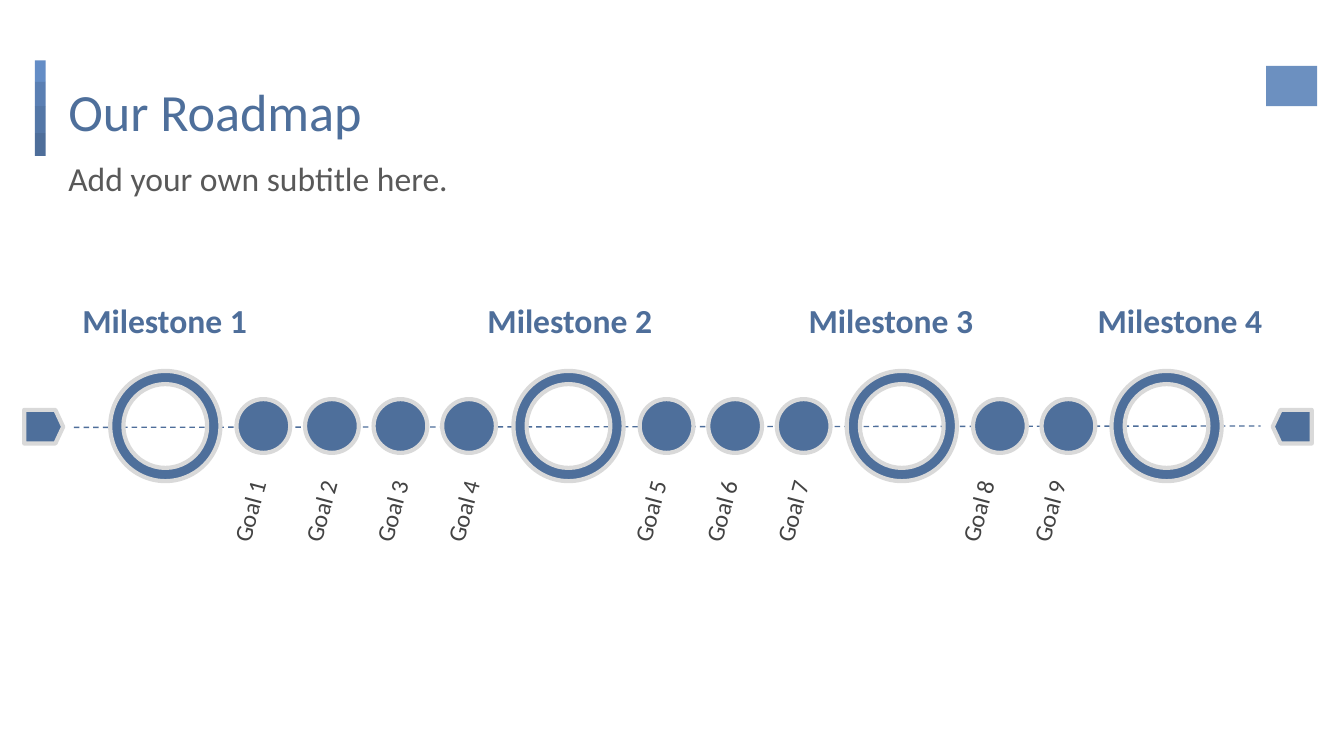
from dataclasses import dataclass

from lxml import etree
from pptx import Presentation
from pptx.dml.color import RGBColor
from pptx.enum.dml import MSO_LINE
from pptx.enum.shapes import MSO_CONNECTOR, MSO_SHAPE
from pptx.enum.text import MSO_ANCHOR, PP_ALIGN
from pptx.oxml.ns import qn
from pptx.util import Inches, Pt

RECTANGLE = MSO_SHAPE.RECTANGLE
OVAL = MSO_SHAPE.OVAL
DONUT = MSO_SHAPE.DONUT
TAG = MSO_SHAPE.FLOWCHART_OFFPAGE_CONNECTOR
STRAIGHT = MSO_CONNECTOR.STRAIGHT
DASH = MSO_LINE.DASH
TOP = MSO_ANCHOR.TOP
LEFT, CENTER = PP_ALIGN.LEFT, PP_ALIGN.CENTER

FONT = "Calibri"
BLUE, HEADING_BLUE = "4E6F9B", "4E6E9A"
OUTLINE, SUBTITLE_GRAY, LABEL_GRAY = "D9D9D9", "595959", "434343"

SLIDE_WIDTH = Inches(10)
SLIDE_HEIGHT = SLIDE_WIDTH * 9 // 16
AXIS_Y = 3.17
RING_SIZE, DOT_SIZE = 0.82, 0.4
DOT_OFFSET, DOT_PITCH = 0.94, 0.51
LABEL_PITCH = 0.53


@dataclass
class Milestone:
    name: str
    ring_left: float
    name_left: float
    name_width: float
    goal_count: int
    first_label_left: float = 0


@dataclass
class BarSegment:
    top: float
    height: float
    color: str


@dataclass
class EndTag:
    left: float
    rotation: int


MILESTONES = [
    Milestone("Milestone 1", 0.82, 0.4, 1.65, 4, 1.46),
    Milestone("Milestone 2", 3.82, 3.37, 1.74, 3, 4.44),
    Milestone("Milestone 3", 6.3, 5.76, 1.74, 2, 6.88),
    Milestone("Milestone 4", 8.27, 7.91, 1.74, 0),
]
BAR_SEGMENTS = [
    BarSegment(0.45, 0.16, "648DC6"),
    BarSegment(0.61, 0.18, "5A7FB3"),
    BarSegment(0.79, 0.2, "5477A7"),
    BarSegment(0.99, 0.17, "4E6E9A"),
]
END_TAGS = [EndTag(0.2, 270), EndTag(9.49, 90)]


def rgb(color: str) -> RGBColor:
    return RGBColor.from_string(color)


def add_shape(slide, kind, left: float, top: float, width: float, height: float,
              fill: str, outline: str = ""):
    shape = slide.shapes.add_shape(
        kind, Inches(left), Inches(top), Inches(width), Inches(height))
    shape.shadow.inherit = False
    shape.fill.solid()
    shape.fill.fore_color.rgb = rgb(fill)
    if outline:
        shape.line.color.rgb = rgb(outline)
        shape.line.width = Pt(2.25)
    else:
        shape.line.fill.background()
    return shape


def add_text(slide, text: str, left: float, top: float, width: float, height: float,
             size: int, color: str, alignment=CENTER, bold: bool = False):
    box = slide.shapes.add_textbox(
        Inches(left), Inches(top), Inches(width), Inches(height))
    frame = box.text_frame
    frame.word_wrap = True
    frame.vertical_anchor = TOP
    frame.margin_left = frame.margin_right = Inches(0.1)
    frame.margin_top = frame.margin_bottom = Inches(0.1)
    paragraph = frame.paragraphs[0]
    paragraph.text = text
    paragraph.alignment = alignment
    paragraph.font.name = FONT
    paragraph.font.size = Pt(size)
    paragraph.font.bold = bold
    paragraph.font.color.rgb = rgb(color)
    return box


def add_axis(slide) -> None:
    axis = slide.shapes.add_connector(
        STRAIGHT, Inches(0.55), Inches(3.18), Inches(9.38), Inches(AXIS_Y))
    axis.line.color.rgb = rgb(HEADING_BLUE)
    axis.line.width = Pt(0.75)
    axis.line.dash_style = DASH
    etree.SubElement(axis._element.spPr, qn("a:effectLst"))


def add_milestone(slide, milestone: Milestone, first_goal: int) -> None:
    ring = add_shape(slide, DONUT, milestone.ring_left, AXIS_Y - RING_SIZE / 2,
                     RING_SIZE, RING_SIZE, BLUE, OUTLINE)
    ring.adjustments[0] = 0.12
    add_text(slide, milestone.name, milestone.name_left, 2.13,
             milestone.name_width, 0.56, 18, HEADING_BLUE, bold=True)
    for index in range(milestone.goal_count):
        dot_left = milestone.ring_left + DOT_OFFSET + index * DOT_PITCH
        add_shape(slide, OVAL, dot_left, AXIS_Y - DOT_SIZE / 2,
                  DOT_SIZE, DOT_SIZE, BLUE, OUTLINE)
        label_left = milestone.first_label_left + index * LABEL_PITCH
        label = add_text(slide, f"Goal {first_goal + index}", label_left, 3.6,
                         0.77, 0.4, 13, LABEL_GRAY)
        label.rotation = 285


def main() -> None:
    presentation = Presentation()
    presentation.slide_width = SLIDE_WIDTH
    presentation.slide_height = SLIDE_HEIGHT
    slide = presentation.slides.add_slide(presentation.slide_layouts[6])

    # Accent bar and headings
    for segment in BAR_SEGMENTS:
        add_shape(slide, RECTANGLE, 0.26, segment.top, 0.08, segment.height,
                  segment.color)
    add_text(slide, "Our Roadmap", 0.41, 0.49, 9.25, 0.63, 28, BLUE, LEFT)
    subtitle = add_text(slide, "Add your own subtitle here.", 0.41, 1.03, 9.25, 0.43,
                        18, SUBTITLE_GRAY, LEFT)
    subtitle_paragraph = subtitle.text_frame.paragraphs[0]
    subtitle_paragraph.line_spacing = 1.15
    subtitle_paragraph.space_after = Pt(16)

    # Timeline
    add_axis(slide)
    next_goal = 1
    for milestone in MILESTONES:
        add_milestone(slide, milestone, next_goal)
        next_goal += milestone.goal_count
    for tag in END_TAGS:
        shape = add_shape(slide, TAG, tag.left, 3.03, 0.25, 0.29, BLUE, OUTLINE)
        shape.rotation = tag.rotation

    # Plain corner mark
    add_shape(slide, RECTANGLE, 9.42, 0.49, 0.38, 0.3, "6C90C0")

    presentation.save("out.pptx")


if __name__ == "__main__":
    main()
